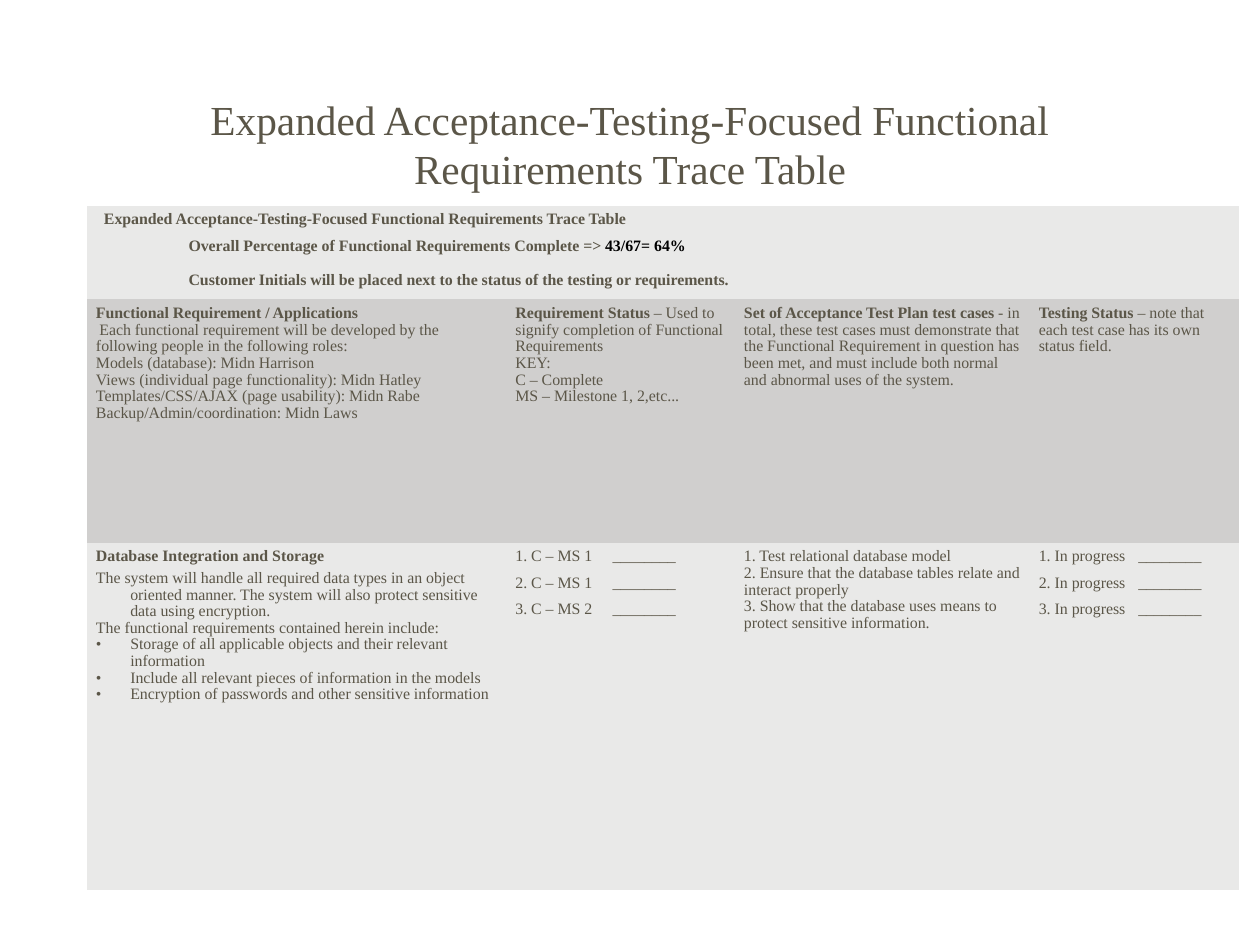
from lxml import etree
from pptx import Presentation
from pptx.dml.color import RGBColor
from pptx.enum.text import MSO_ANCHOR, MSO_AUTO_SIZE, PP_ALIGN
from pptx.oxml.ns import qn
from pptx.util import Emu, Inches, Pt

FONT = "Times New Roman"
OLIVE = RGBColor(0x5B, 0x56, 0x48)
BLACK = RGBColor(0, 0, 0)
LIGHT = RGBColor(0xE9, 0xE9, 0xE8)
DARK = RGBColor(0xD0, 0xCF, 0xCE)
MIDDLE, TOP = MSO_ANCHOR.MIDDLE, MSO_ANCHOR.TOP
CENTER = PP_ALIGN.CENTER
NO_AUTOFIT = MSO_AUTO_SIZE.NONE
PLAIN_TABLE_STYLE = "{2D5ABB26-0587-4C30-8999-92F81FD0307C}"
TITLE_ONLY = 5
SLIDE_WIDTH, SLIDE_HEIGHT = Emu(10080625), Emu(7559675)


def line(*runs, **layout):
    """Pair the runs of a paragraph with its layout."""
    return runs, layout


def bold(text, color=OLIVE):
    """Describe a bold run."""
    return text, True, color


def plain(text):
    """Describe a regular run."""
    return text, False, OLIVE


def plain_lines(*texts, **layout):
    """Describe one regular paragraph per text."""
    return [line(plain(text), **layout) for text in texts]


def sign_off_lines(statuses, blank_at):
    """Describe numbered statuses, each followed by a blank for initials."""
    return plain_lines(*(f"{number}. {status}\t________" for number, status in enumerate(statuses, 1)),
                       indent=blank_at, hanging=blank_at, after=6)


class TraceSlide:
    """Hold the style and the current slide."""

    def __init__(self, presentation):
        """Add a title-only slide."""
        self.slide = presentation.slides.add_slide(presentation.slide_layouts[TITLE_ONLY])

    def run(self, paragraph, text, size, is_bold=False, color=OLIVE):
        """Add one styled run."""
        run = paragraph.add_run()
        run.text = text
        run.font.name, run.font.size = FONT, Pt(size)
        run.font.bold = is_bold
        run.font.color.rgb = color

    def title(self, text, left, top, width, height):
        """Place and fill the title."""
        shape = self.slide.shapes.title
        shape.left, shape.top = Inches(left), Inches(top)
        shape.width, shape.height = Inches(width), Inches(height)
        frame = shape.text_frame
        frame.auto_size, frame.word_wrap = NO_AUTOFIT, True
        frame.vertical_anchor = MIDDLE
        frame.margin_left = frame.margin_right = Inches(0.04)
        frame.margin_top = frame.margin_bottom = Inches(0.04)
        frame.paragraphs[0].alignment = CENTER
        self.run(frame.paragraphs[0], text, 26)

    def paragraph(self, paragraph, runs, indent=0, hanging=0, bullet=None,
                  before=0, after=0, spacing=0.95):
        """Lay out one table paragraph and add its runs."""
        properties = paragraph._p.get_or_add_pPr()
        properties.set("marL", str(Inches(indent)))
        properties.set("indent", str(-Inches(hanging)))
        if bullet:
            color = etree.SubElement(properties, qn("a:buClr"))
            etree.SubElement(color, qn("a:srgbClr"), val=str(OLIVE))
            etree.SubElement(properties, qn("a:buFont"), typeface=FONT)
            etree.SubElement(properties, qn("a:buChar"), char=bullet)
        paragraph.line_spacing = spacing
        paragraph.space_before, paragraph.space_after = Pt(before), Pt(after)
        for text, is_bold, color in runs:
            self.run(paragraph, text, 10, is_bold, color)

    def cell(self, cell, lines, fill):
        """Fill one table cell."""
        cell.fill.solid()
        cell.fill.fore_color.rgb = fill
        cell.vertical_anchor = TOP
        cell.margin_left = cell.margin_right = Inches(0.08)
        cell.margin_top = cell.margin_bottom = Inches(0.05)
        frame = cell.text_frame
        for index, (runs, layout) in enumerate(lines):
            paragraph = frame.add_paragraph() if index else frame.paragraphs[0]
            self.paragraph(paragraph, runs, **layout)

    def table(self, rows, fills, left, top, widths, heights):
        """Add a table; a row with a single cell spans every column."""
        table = self.slide.shapes.add_table(
            len(heights), len(widths), Inches(left), Inches(top),
            Inches(sum(widths)), Inches(sum(heights))).table
        table.first_row = table.horz_banding = False
        table._tbl.tblPr.find(qn("a:tableStyleId")).text = PLAIN_TABLE_STYLE
        for column, width in zip(table.columns, widths):
            column.width = Inches(width)
        for row, height in zip(table.rows, heights):
            row.height = Inches(height)
        for row_index, (cells, fill) in enumerate(zip(rows, fills)):
            if len(cells) == 1:
                table.cell(row_index, 0).merge(table.cell(row_index, len(widths) - 1))
            for column_index, lines in enumerate(cells):
                self.cell(table.cell(row_index, column_index), lines, fill)


SUMMARY = [[
    line(bold("Expanded Acceptance-Testing-Focused Functional Requirements Trace Table"),
         indent=0.07, after=6),
    line(bold("Overall Percentage of Functional Requirements Complete => "),
         bold("43/67= 64%", BLACK), indent=0.81, spacing=1),
    line(bold("Customer Initials will be placed next to the status of the testing or requirements."),
         indent=0.81, before=10.5),
]]

HEADINGS = [
    [line(bold("Functional Requirement / Applications")),
     line(plain("Each functional requirement will be developed by the"), indent=0.03),
     *plain_lines("following people in the following roles:",
                  "Models (database): Midn Harrison",
                  "Views (individual page functionality): Midn Hatley",
                  "Templates/CSS/AJAX (page usability): Midn Rabe",
                  "Backup/Admin/coordination: Midn Laws")],
    [line(bold("Requirement Status "),
          plain("– Used to signify completion of Functional Requirements")),
     *plain_lines("KEY:", "C – Complete", "MS – Milestone 1, 2,etc...")],
    [line(bold("Set of Acceptance Test Plan test cases"),
          plain(" - in total, these test cases must demonstrate that the Functional Requirement "
                "in question has been met, and must include both normal and abnormal uses of the system."))],
    [line(bold("Testing Status"), plain(" – note that each test case has its own status field."))],
]

DATABASE = [
    [line(bold("Database Integration and Storage"), after=3),
     *plain_lines("The system will handle all required data types in an object oriented manner. "
                  "The system will also protect sensitive data using encryption.",
                  "The functional requirements contained herein include:",
                  indent=0.3, hanging=0.3),
     *plain_lines("Storage of all applicable objects and their relevant information",
                  "Include all relevant pieces of information in the models",
                  "Encryption of passwords and other sensitive information",
                  indent=0.3, hanging=0.3, bullet="•")],
    sign_off_lines(["C – MS 1", "C – MS 1", "C – MS 2"], blank_at=0.85),
    plain_lines("1. Test relational database model",
                "2. Ensure that the database tables relate and interact properly",
                "3. Show that the database uses means to protect sensitive information."),
    sign_off_lines(["In progress"] * 3, blank_at=0.87),
]


def main():
    """Build and save the slide."""
    presentation = Presentation()
    presentation.slide_width, presentation.slide_height = SLIDE_WIDTH, SLIDE_HEIGHT
    trace = TraceSlide(presentation)
    trace.title("Expanded Acceptance-Testing-Focused Functional Requirements Trace Table",
                0.86, 0.47, 9.31, 1.57)
    trace.table([SUMMARY, HEADINGS, DATABASE], [LIGHT, DARK, LIGHT], 0.76, 1.8,
                [3.67, 2, 2.58, 1.83], [0.82, 2.13, 3.04])
    presentation.save("out.pptx")


if __name__ == "__main__":
    main()
